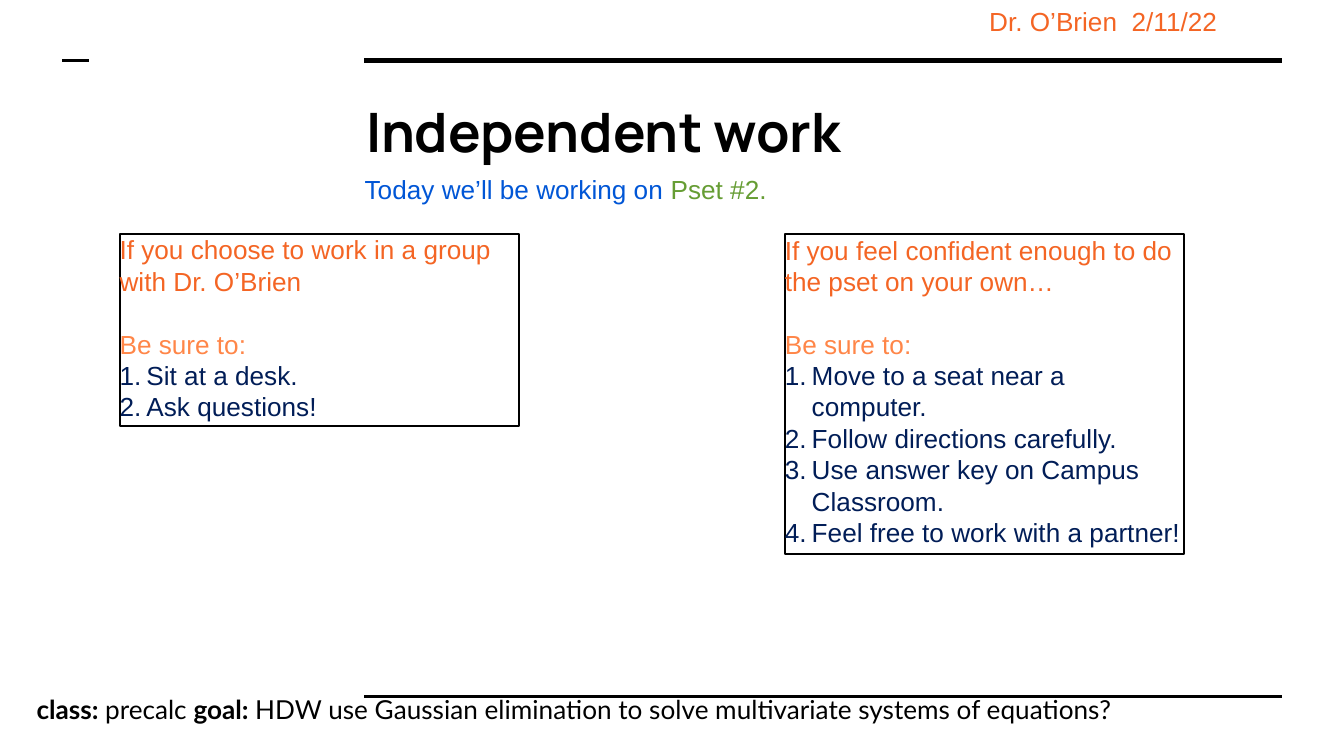
from pptx import Presentation
from pptx.dml.color import RGBColor
from pptx.enum.shapes import MSO_CONNECTOR, MSO_SHAPE
from pptx.enum.text import MSO_ANCHOR, MSO_AUTO_SIZE, PP_ALIGN
from pptx.oxml.xmlchemy import OxmlElement
from pptx.util import Pt

LINE = MSO_CONNECTOR.STRAIGHT
RECT = MSO_SHAPE.RECTANGLE
TOP, MID = MSO_ANCHOR.TOP, MSO_ANCHOR.MIDDLE
GROW, FIXED = MSO_AUTO_SIZE.SHAPE_TO_FIT_TEXT, MSO_AUTO_SIZE.NONE
LEFT = PP_ALIGN.LEFT


class Theme:
    black = "000000"
    head = "F46524"
    prompt = "FF8648"
    step = "011D57"
    blue = "0056D6"
    green = "669D34"
    sans, foot, title = "Arial", "Lato", "Manrope"
    size, big = 14, 29.1
    lead = 1.0
    gap = 16.8
    dent = 14.4
    inset = 7.2


DATE = "Dr. O’Brien  2/11/22"
TITLE = "Independent work"
TASK = [("Today we’ll be working on ", Theme.blue), ("Pset #2.", Theme.green)]
GOAL = [
    ("class: ", True),
    ("precalc ", False),
    ("goal: ", True),
    ("HDW use Gaussian elimination to solve multivariate systems of equations?", False),
]
PROMPT = "Be sure to:"
CARDS = [
    {
        "left": 420.5, "high": 171.4,
        "head": "If you feel confident enough to do the pset on your own…",
        "steps": [
            "Move to a seat near a computer.",
            "Follow directions carefully.",
            "Use answer key on Campus Classroom.",
            "Feel free to work with a partner!",
        ],
    },
    {
        "left": 64.1, "high": 103,
        "head": "If you choose to work in a group with Dr. O’Brien",
        "steps": ["Sit at a desk.", "Ask questions!"],
    },
]
CARD_TOP, CARD_WIDE = 125.3, 213.9
RULES = [(195.1, 686.9, 32.4, 3), (195.1, 686.9, 373, 1.5), (33.5, 47.9, 32.4, 1.5)]


def paint(text):
    return RGBColor.from_string(text)


def add_rule(slide, x1, x2, y, width):
    rule = slide.shapes.add_connector(LINE, Pt(x1), Pt(y), Pt(x2), Pt(y))
    rule.line.color.rgb = paint(Theme.black)
    rule.line.width = Pt(width)
    rule._element.spPr.append(OxmlElement("a:effectLst"))


def set_frame(shape, inset=0, anchor=TOP, fit=GROW):
    frame = shape.text_frame
    frame.word_wrap = True
    frame.auto_size = fit
    frame.vertical_anchor = anchor
    frame.margin_left = frame.margin_right = Pt(inset)
    frame.margin_top = frame.margin_bottom = Pt(inset)
    return frame


def add_run(para, text, color, face=Theme.sans, size=Theme.size, bold=False):
    run = para.add_run()
    run.text = text
    font = run.font
    font.name, font.size, font.bold = face, Pt(size), bold
    font.color.rgb = paint(color)


def add_box(slide, left, top, wide, high, **frame):
    area = slide.shapes.add_textbox(Pt(left), Pt(top), Pt(wide), Pt(high))
    return set_frame(area, **frame).paragraphs[0]


def set_para(para):
    para.alignment = LEFT
    para.line_spacing = Theme.lead


def add_step(frame, text):
    para = frame.add_paragraph()
    set_para(para)
    props = para._p.get_or_add_pPr()
    props.set("marL", str(Pt(Theme.dent)))
    props.set("indent", str(-Pt(Theme.dent)))
    mark = OxmlElement("a:buAutoNum")
    mark.set("type", "arabicPeriod")
    props.append(mark)
    add_run(para, text, Theme.step)


def add_card(slide, card):
    box = slide.shapes.add_shape(
        RECT, Pt(card["left"]), Pt(CARD_TOP), Pt(CARD_WIDE), Pt(card["high"]))
    box.shadow.inherit = False
    box.fill.background()
    box.line.color.rgb = paint(Theme.black)
    box.line.width = Pt(1)
    frame = set_frame(box)
    head = frame.paragraphs[0]
    set_para(head)
    add_run(head, card["head"], Theme.head)
    ask = frame.add_paragraph()
    set_para(ask)
    ask.space_before = Pt(Theme.gap)
    add_run(ask, PROMPT, Theme.prompt)
    for step in card["steps"]:
        add_step(frame, step)


def main():
    deck = Presentation()
    deck.slide_width, deck.slide_height = Pt(720), Pt(405)
    slide = deck.slides.add_slide(deck.slide_layouts[6])
    for rule in RULES:
        add_rule(slide, *rule)

    goal = add_box(slide, 12.5, 364.3, 673.2, 31.7, inset=Theme.inset)
    for text, bold in GOAL:
        add_run(goal, text, Theme.black, Theme.foot, bold=bold)

    date = add_box(slide, 529.9, 2.9, 164.9, 17.3)
    set_para(date)
    add_run(date, DATE, Theme.head)

    title = add_box(slide, 189, 45.4, 497.5, 49.7,
                    inset=Theme.inset, anchor=MID, fit=FIXED)
    add_run(title, TITLE, Theme.black, Theme.title, Theme.big, True)

    for card in CARDS:
        add_card(slide, card)

    task = add_box(slide, 195.4, 92.9, 247, 17.3)
    set_para(task)
    for text, color in TASK:
        add_run(task, text, color)
    deck.save("out.pptx")


if __name__ == "__main__":
    main()
